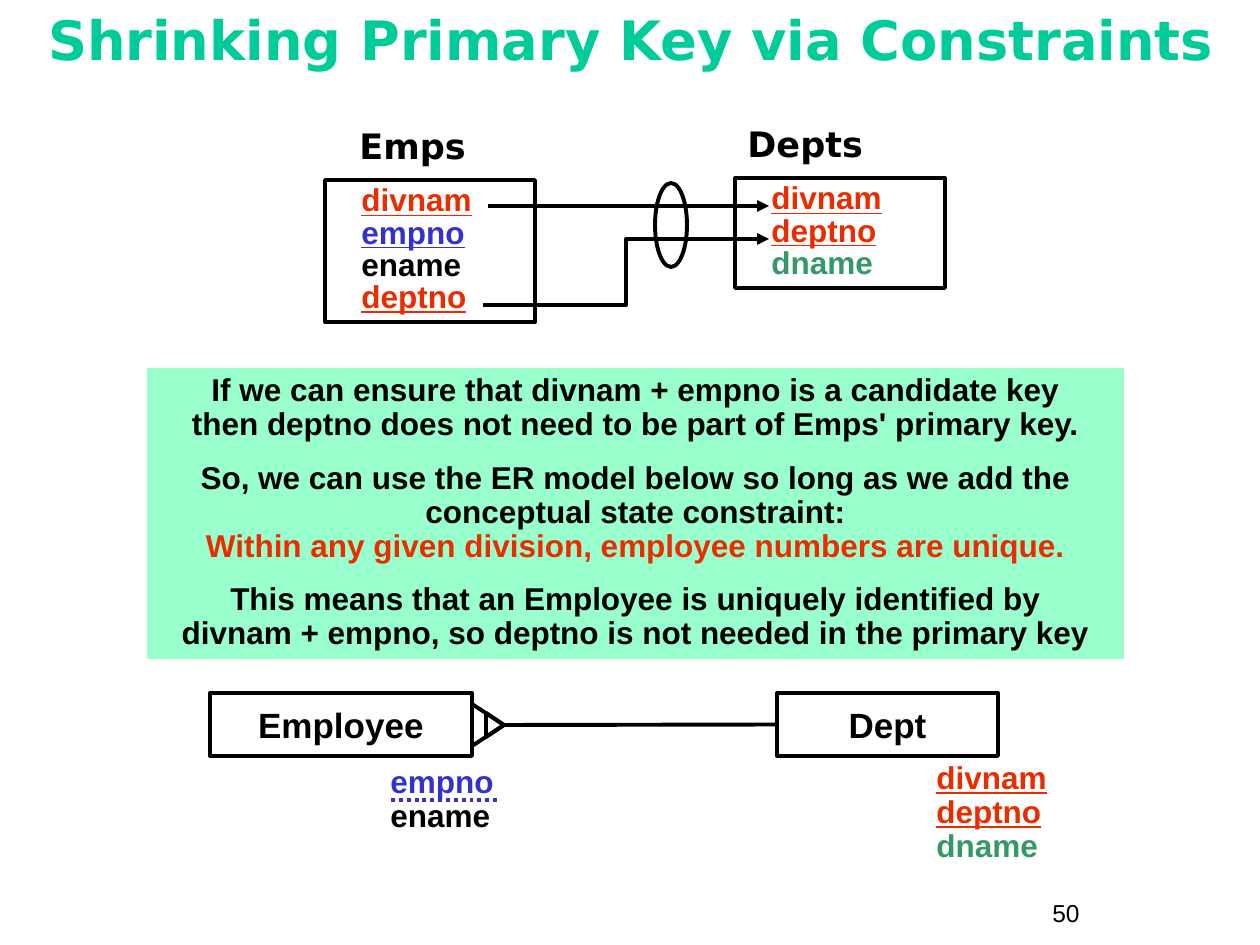
from dataclasses import dataclass
from typing import Any, Optional

import pptx
import pptx.dml.color
import pptx.enum.dml
import pptx.enum.shapes
import pptx.enum.text
import pptx.oxml
import pptx.oxml.ns
import pptx.util

PX_PER_INCH = 126
LINE_WIDTH = pptx.util.Pt(2.25)
COLORS = {
    "ink": "000000",
    "title": "00CC99",
    "panel": "99FFCC",
    "red": "EA2D00",
    "blue": "3333CC",
    "green": "339966",
}
SHAPE = pptx.enum.shapes.MSO_SHAPE
CONNECTOR = pptx.enum.shapes.MSO_CONNECTOR
ALIGN = pptx.enum.text.PP_ALIGN
ANCHOR = pptx.enum.text.MSO_ANCHOR


@dataclass(frozen=True)
class Span:
    text: str
    color: str = "ink"
    underline: bool = False


@dataclass(frozen=True)
class Format:
    size: int = 18
    font: str = "Arial"
    bold: bool = True
    align: Any = ALIGN.LEFT
    anchor: Any = ANCHOR.TOP
    spacing: float = 1.0
    gap: float = 0
    indent: int = 0
    wrap: bool = True


@dataclass(frozen=True)
class Block:
    box: tuple[int, int, int, int]
    paragraphs: list[list[Span]]
    format: Format
    outlined: bool = False
    fill: Optional[str] = None


@dataclass(frozen=True)
class Link:
    start: tuple[int, int]
    end: tuple[int, int]
    kind: Any = CONNECTOR.STRAIGHT
    color: str = "ink"
    arrow: bool = False
    dotted: bool = False


def px(length: int) -> int:
    return round(length * 914400 / PX_PER_INCH)


def rgb(name: str) -> pptx.dml.color.RGBColor:
    return pptx.dml.color.RGBColor.from_string(COLORS[name])


def apply(target: Any, values: dict[str, Any]) -> None:
    for name, value in values.items():
        setattr(target, name, value)


def draw_outline(shapes: Any, kind: Any, box: tuple[int, int, int, int],
                 rotation: int = 0) -> Any:
    outline = shapes.add_shape(kind, *map(px, box))
    outline.shadow.inherit = False
    outline.fill.background()
    outline.line.color.rgb = rgb("ink")
    outline.line.width = LINE_WIDTH
    outline.rotation = rotation
    return outline


def write_span(paragraph: Any, span: Span, style: Format) -> None:
    for number, piece in enumerate(span.text.split("\n")):
        if number:
            paragraph.add_line_break()
        if piece:
            run = paragraph.add_run()
            run.text = piece
            apply(run.font, {
                "size": pptx.util.Pt(style.size),
                "name": style.font,
                "bold": style.bold,
                "underline": span.underline,
            })
            run.font.color.rgb = rgb(span.color)


def draw_block(shapes: Any, block: Block) -> Any:
    style = block.format
    if block.outlined or block.fill:
        holder = draw_outline(shapes, SHAPE.RECTANGLE, block.box)
    else:
        holder = shapes.add_textbox(*map(px, block.box))
    if block.fill:
        holder.fill.solid()
        holder.fill.fore_color.rgb = rgb(block.fill)
        holder.line.fill.background()
    frame = holder.text_frame
    apply(frame, {"word_wrap": style.wrap, "vertical_anchor": style.anchor})
    for number, spans in enumerate(block.paragraphs):
        paragraph = frame.add_paragraph() if number else frame.paragraphs[0]
        apply(paragraph, {"alignment": style.align, "line_spacing": style.spacing})
        if number and style.gap:
            paragraph.space_before = pptx.util.Pt(style.gap)
        if style.indent:
            paragraph._p.get_or_add_pPr().set("marL", str(px(style.indent)))
        for span in spans:
            write_span(paragraph, span, style)
    return holder


def draw_link(shapes: Any, link: Link) -> Any:
    connector = shapes.add_connector(link.kind, *map(px, link.start + link.end))
    connector.line.color.rgb = rgb(link.color)
    connector.line.width = LINE_WIDTH
    if link.dotted:
        connector.line.dash_style = pptx.enum.dml.MSO_LINE.ROUND_DOT
    if link.arrow:
        tail = pptx.oxml.parse_xml(
            f'<a:tailEnd {pptx.oxml.ns.nsdecls("a")} type="triangle"/>')
        connector.line._get_or_add_ln().append(tail)
    connector._element.spPr.append(
        pptx.oxml.parse_xml(f'<a:effectLst {pptx.oxml.ns.nsdecls("a")}/>'))
    return connector


def main() -> None:
    presentation = pptx.Presentation()
    presentation.slide_width = px(1260)
    presentation.slide_height = px(945)
    shapes = presentation.slides.add_slide(presentation.slide_layouts[6]).shapes

    title = Format(31, "DejaVu Sans", align=ALIGN.CENTER, spacing=0.85)
    heading = Format(20, "DejaVu Sans")
    columns = Format(spacing=0.85, indent=24)
    attributes = Format(spacing=0.9)
    argument = Format(align=ALIGN.CENTER, spacing=0.9, gap=11.2)
    entity = Format(20, align=ALIGN.CENTER, anchor=ANCHOR.MIDDLE, wrap=False)

    divnam = [Span("divnam", "red", True)]
    deptno = [Span("deptno", "red", True)]
    dname = [Span("dname", "green")]
    ename = [Span("ename")]
    empno_key = [Span("empno", "blue", True)]
    empno_partial = [Span("empno", "blue")]
    reasoning = [
        [Span("If we can ensure that divnam + empno is a candidate key\n"
              "then deptno does not need to be part of Emps' primary key.")],
        [Span("So, we can use the ER model below so long as we add the "
              "conceptual state constraint:\n"),
         Span("Within any given division, employee numbers are unique.", "red")],
        [Span("This means that an Employee is uniquely identified by\n"
              "divnam + empno, so deptno is not needed in the primary key")],
    ]

    for block in (
        Block((1040, 892, 116, 43), [[Span("50")]], Format(14, bold=False)),
        Block((32, 10, 1197, 116),
              [[Span("Shrinking Primary Key via Constraints", "title")]], title),
        Block((147, 368, 977, 291), reasoning, argument, fill="panel"),
        Block((735, 116, 210, 55), [[Span("Depts")]], heading),
        Block((735, 178, 210, 110), [divnam, deptno, dname], columns, True),
        Block((347, 118, 189, 55), [[Span("Emps")]], heading),
        Block((325, 180, 210, 142), [divnam, empno_key, ename, deptno], columns, True),
        Block((924, 756, 179, 115), [divnam, deptno, dname], attributes),
        Block((378, 760, 210, 81), [empno_partial, ename], attributes),
        Block((210, 693, 262, 63), [[Span("Employee")]], entity, True),
    ):
        draw_block(shapes, block)
    dept = draw_block(shapes, Block((777, 693, 221, 63), [[Span("Dept")]], entity, True))

    for link in (
        Link((488, 206), (769, 206), arrow=True),
        Link((483, 305), (769, 239), CONNECTOR.ELBOW, arrow=True),
        Link((497, 800), (388, 800), color="blue", dotted=True),
    ):
        draw_link(shapes, link)
    relationship = draw_link(shapes, Link((777, 725), (504, 725)))
    relationship.begin_connect(dept, 1)

    draw_outline(shapes, SHAPE.OVAL, (655, 183, 32, 84))
    crow_foot = shapes.add_group_shape().shapes
    for box in ((467, 709, 42, 32), (483, 716, 24, 18)):
        draw_outline(crow_foot, SHAPE.ISOSCELES_TRIANGLE, box, 90)

    presentation.save("out.pptx")


if __name__ == "__main__":
    main()
